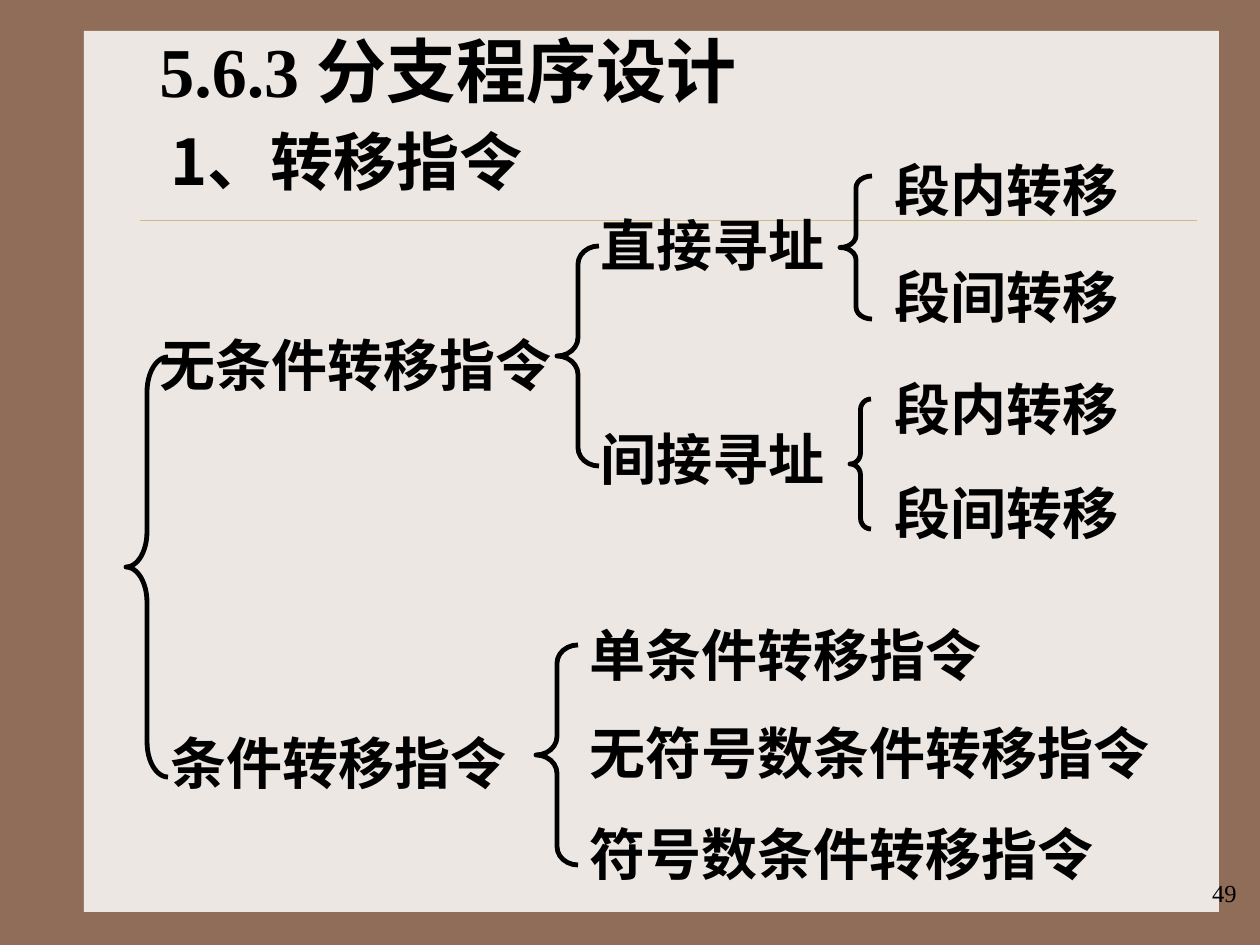
from dataclasses import dataclass

from lxml import etree
from pptx import Presentation
from pptx.dml.color import RGBColor
from pptx.enum.shapes import MSO_CONNECTOR, MSO_SHAPE
from pptx.enum.text import MSO_ANCHOR, MSO_AUTO_SIZE, PP_ALIGN
from pptx.oxml.ns import qn
from pptx.slide import Slide
from pptx.util import Emu, Pt

RECT, BRACE = MSO_SHAPE.RECTANGLE, MSO_SHAPE.LEFT_BRACE
STRAIGHT = MSO_CONNECTOR.STRAIGHT
TOP, MIDDLE = MSO_ANCHOR.TOP, MSO_ANCHOR.MIDDLE
LEFT, RIGHT = PP_ALIGN.LEFT, PP_ALIGN.RIGHT
GROW = MSO_AUTO_SIZE.SHAPE_TO_FIT_TEXT

COLORS = {"frame": "906D58", "panel": "EDE7E3", "rule": "CBBD83", "ink": "000000"}
SERIF, SANS = "Times New Roman", "Noto Sans CJK SC"
SCALE = 914400 / 126


@dataclass
class Box:
    left: int
    top: int
    width: int
    height: int


@dataclass
class Label:
    text: str
    left: int
    top: int
    width: int


LABELS = [
    Label("无条件转移指令", 147, 324, 462),
    Label("条件转移指令", 158, 722, 462),
    Label("直接寻址", 588, 204, 284),
    Label("间接寻址", 588, 418, 284),
    Label("段内转移", 882, 149, 284),
    Label("段间转移", 882, 256, 284),
    Label("段内转移", 882, 368, 284),
    Label("段间转移", 882, 472, 284),
    Label("单条件转移指令", 577, 614, 462),
    Label("无符号数条件转移指令", 577, 712, 662),
    Label("符号数条件转移指令", 577, 813, 662),
]

BRACES = [
    Box(126, 357, 42, 420),
    Box(557, 246, 42, 220),
    Box(536, 645, 42, 220),
    Box(840, 176, 32, 143),
    Box(850, 399, 21, 130),
]


def px(count: int) -> Emu:
    return Emu(round(count * SCALE))


def place(box: Box) -> tuple[Emu, Emu, Emu, Emu]:
    return px(box.left), px(box.top), px(box.width), px(box.height)


def color(name: str) -> RGBColor:
    return RGBColor.from_string(COLORS[name])


def write(slide: Slide, text: str, box: Box, *, size: int = 32, font: str = SERIF,
          bold: bool = True, align: PP_ALIGN = LEFT, anchor: MSO_ANCHOR = TOP) -> None:
    frame = slide.shapes.add_textbox(*place(box)).text_frame
    frame.word_wrap = True
    frame.auto_size = GROW
    frame.vertical_anchor = anchor
    line = frame.paragraphs[0]
    line.alignment = align
    run = line.add_run()
    run.text = text
    run.font.size = Pt(size)
    run.font.name = font
    run.font.bold = bold
    run.font.color.rgb = color("ink")
    asian = etree.SubElement(run.font._element, qn("a:ea"))
    asian.set("typeface", SANS)


def brace(slide: Slide, box: Box) -> None:
    """Draw a left brace whose curls are each a twelfth of its height."""
    shape = slide.shapes.add_shape(BRACE, *place(box))
    shape.shadow.inherit = False
    shape.adjustments[0] = box.height / 12 / box.width
    shape.fill.background()
    shape.line.color.rgb = color("ink")
    shape.line.width = Pt(2.75)


def base(slide: Slide) -> None:
    """Draw the frame colour, the panel and the thin rule."""
    fill = slide.background.fill
    fill.solid()
    fill.fore_color.rgb = color("frame")
    panel = slide.shapes.add_shape(RECT, *place(Box(84, 31, 1135, 881)))
    panel.shadow.inherit = False
    panel.fill.solid()
    panel.fill.fore_color.rgb = color("panel")
    panel.line.fill.background()
    rule = slide.shapes.add_connector(STRAIGHT, px(140), px(220), px(1197), px(220))
    rule.line.color.rgb = color("rule")
    rule.line.width = Pt(0.25)
    etree.SubElement(rule._element.spPr, qn("a:effectLst"))


def main() -> None:
    deck = Presentation()
    deck.slide_width, deck.slide_height = px(1260), px(945)
    slide = deck.slides.add_slide(deck.slide_layouts[6])
    base(slide)
    write(slide, "49", Box(987, 872, 262, 63), size=14, bold=False, align=RIGHT)
    write(slide, "5.6.3 分支程序设计", Box(147, 21, 640, 97), size=40, anchor=MIDDLE)
    write(slide, "1、转移指令", Box(158, 116, 693, 88), size=36, font=SANS)
    for label in LABELS:
        write(slide, label.text, Box(label.left, label.top, label.width, 81))
    for box in BRACES:
        brace(slide, box)
    deck.save("out.pptx")


if __name__ == "__main__":
    main()
